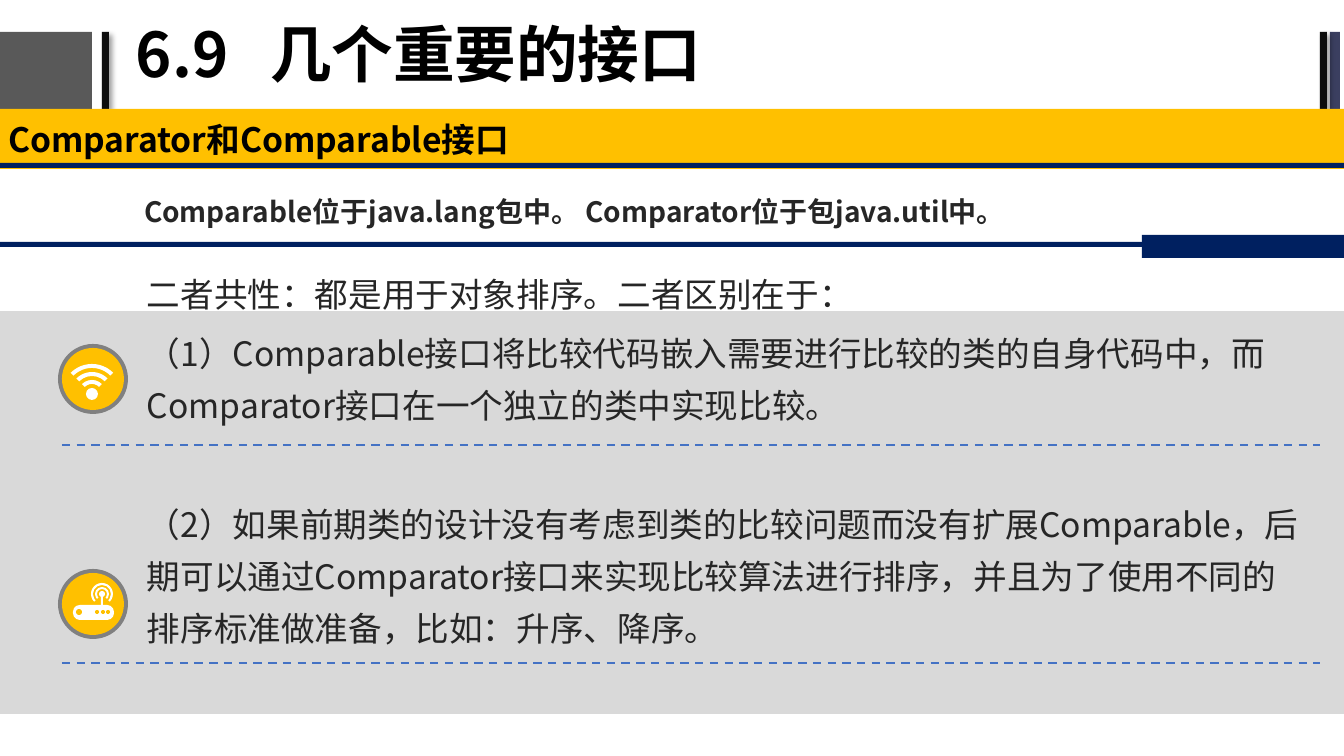
from dataclasses import dataclass

from lxml.etree import SubElement
from pptx import Presentation
from pptx.dml.color import RGBColor
from pptx.enum.dml import MSO_LINE
from pptx.enum.shapes import MSO_CONNECTOR, MSO_SHAPE
from pptx.enum.text import MSO_ANCHOR, PP_ALIGN
from pptx.oxml.ns import qn
from pptx.util import Pt

EMU_PER_PX = 914400 / 100.8
SLIDE_W, SLIDE_H = 1344, 756


@dataclass(frozen=True)
class Theme:
    font: str = "Noto Sans CJK SC"
    title_pt: int = 44
    body_pt: int = 24
    note_pt: int = 20
    black: str = "000000"
    ink: str = "262626"
    white: str = "FFFFFF"
    amber: str = "FFC000"
    navy: str = "002060"
    panel: str = "D9D9D9"
    ring: str = "808080"
    dash: str = "4472C4"
    block: str = "595959"
    bar: str = "0D0D0D"
    slate: str = "3B3F60"


THEME = Theme()


@dataclass(frozen=True)
class Box:
    x: int
    y: int
    w: int
    h: int
    color: str
    shadow: bool = False


@dataclass(frozen=True)
class Band:
    """An arc symmetric about the upward direction."""
    cx: int
    cy: int
    radius: int
    thickness: int
    half_angle: int


@dataclass(frozen=True)
class TextStyle:
    size: int
    color: str
    bold: bool = False
    inset_x: int = 10
    inset_y: int = 5
    anchor: MSO_ANCHOR = MSO_ANCHOR.TOP
    spacing: object = 1.0


HEADER_BARS = [
    Box(0, 32, 92, 77, THEME.block),
    Box(102, 32, 7, 77, THEME.bar, shadow=True),
    Box(1330, 32, 10, 77, THEME.slate),
    Box(1320, 32, 7, 77, THEME.bar, shadow=True),
]
BANNER = Box(0, 109, SLIDE_W, 60, THEME.amber)
BANNER_RULE = Box(0, 163, SLIDE_W, 5, THEME.navy)
PANEL = Box(0, 311, SLIDE_W, 403, THEME.panel)
NOTE_RULES = [Box(0, 242, SLIDE_W, 5, THEME.navy),
              Box(1142, 235, 202, 23, THEME.navy)]
WIFI_BANDS = [Band(92, 394, radius, 4, 45) for radius in (14, 22, 30)]
SIGNAL_BANDS = [Band(102, 594, radius, 2, 135) for radius in (7, 11)]
ROUTER_CASING = Box(73, 605, 41, 15, THEME.white)
ROUTER_STEM = Box(101, 594, 2, 11, THEME.white)
ROUTER_LIGHTS = [(79, 3), (97, 2), (103, 2), (108, 2)]
TITLE = "6.9\t几个重要的接口"
BANNER_TEXT = "Comparator和Comparable接口"
NOTE = "Comparable位于java.lang包中。 Comparator位于包java.util中。"
BODY = [
    "二者共性：都是用于对象排序。二者区别在于：",
    "（1）Comparable接口将比较代码嵌入需要进行比较的类的自身代码中，而Comparator接口在一个独立的类中实现比较。",
    "（2）如果前期类的设计没有考虑到类的比较问题而没有扩展Comparable，后期可以通过Comparator接口来实现比较算法进行排序，并且为了使用不同的排序标准做准备，比如：升序、降序。",
]
LATER_GAPS = [5, 48]


def px(value: float) -> int:
    return round(value * EMU_PER_PX)


def cast_shadow(shape) -> None:
    effects = shape._element.spPr.find(qn("a:effectLst"))
    outer = SubElement(effects, qn("a:outerShdw"), blurRad="50800",
                       dist="38100", dir="2700000", algn="tl", rotWithShape="0")
    srgb = SubElement(outer, qn("a:srgbClr"), val=THEME.black)
    SubElement(srgb, qn("a:alpha"), val="40000")


def add_box(shapes, box: Box, preset=MSO_SHAPE.RECTANGLE):
    shape = shapes.add_shape(preset, px(box.x), px(box.y), px(box.w), px(box.h))
    shape.shadow.inherit = False
    shape.fill.solid()
    shape.fill.fore_color.rgb = RGBColor.from_string(box.color)
    shape.line.fill.background()
    if box.shadow:
        cast_shadow(shape)
    return shape


def add_disc(shapes, cx: int, cy: int, radius: int, color: str,
             preset=MSO_SHAPE.OVAL):
    box = Box(cx - radius, cy - radius, 2 * radius, 2 * radius, color)
    return add_box(shapes, box, preset)


def add_band(shapes, band: Band) -> None:
    shape = add_disc(shapes, band.cx, band.cy, band.radius, THEME.white,
                     MSO_SHAPE.BLOCK_ARC)
    units_per_degree = 0.6
    shape.adjustments[0] = (270 - band.half_angle) % 360 * units_per_degree
    shape.adjustments[1] = (270 + band.half_angle) % 360 * units_per_degree
    shape.adjustments[2] = band.thickness / (2 * band.radius)


def add_badge(shapes, cx: int, cy: int) -> None:
    add_disc(shapes, cx, cy, 35, THEME.ring)
    add_disc(shapes, cx, cy, 31, THEME.amber)


def add_wifi(shapes) -> None:
    for band in WIFI_BANDS:
        add_band(shapes, band)
    add_disc(shapes, 92, 394, 6, THEME.white)


def add_router(shapes) -> None:
    for band in SIGNAL_BANDS:
        add_band(shapes, band)
    add_disc(shapes, 102, 594, 3, THEME.white)
    add_box(shapes, ROUTER_STEM)
    casing = add_box(shapes, ROUTER_CASING, MSO_SHAPE.ROUNDED_RECTANGLE)
    casing.adjustments[0] = 0.45
    for x, radius in ROUTER_LIGHTS:
        add_disc(shapes, x, 612, radius, THEME.amber)


def write(shape, text: str, style: TextStyle) -> list:
    frame = shape.text_frame
    frame.word_wrap = True
    frame.vertical_anchor = style.anchor
    frame.margin_left = frame.margin_right = px(style.inset_x)
    frame.margin_top = frame.margin_bottom = px(style.inset_y)
    frame.text = text
    for paragraph in frame.paragraphs:
        paragraph.alignment = PP_ALIGN.LEFT
        paragraph.line_spacing = style.spacing
        for run in paragraph.runs:
            run.font.size, run.font.bold = Pt(style.size), style.bold
            run.font.name = THEME.font
            run.font.color.rgb = RGBColor.from_string(style.color)
            SubElement(run.font._element, qn("a:ea"), typeface=THEME.font)
    return list(frame.paragraphs)


def add_text(shapes, x: int, y: int, w: int, h: int, text: str, style: TextStyle) -> list:
    return write(shapes.add_textbox(px(x), px(y), px(w), px(h)), text, style)


def add_dashes(shapes, y: int) -> None:
    line = shapes.add_connector(MSO_CONNECTOR.STRAIGHT, px(62), px(y), px(1320), px(y))
    line.line.color.rgb = RGBColor.from_string(THEME.dash)
    line.line.width, line.line.dash_style = Pt(1.5), MSO_LINE.DASH
    SubElement(line._element.spPr, qn("a:effectLst"))


def main() -> None:
    deck = Presentation()
    deck.slide_width, deck.slide_height = px(SLIDE_W), px(SLIDE_H)
    shapes = deck.slides.add_slide(deck.slide_layouts[6]).shapes

    for bar in HEADER_BARS:
        add_box(shapes, bar)
    title = add_text(shapes, 126, 2, 854, 111, TITLE, TextStyle(
        THEME.title_pt, THEME.black, True, anchor=MSO_ANCHOR.MIDDLE, spacing=0.9))
    tabs = SubElement(title[0]._p.get_or_add_pPr(), qn("a:tabLst"))
    SubElement(tabs, qn("a:tab"), pos=str(px(134)), algn="l")
    write(add_box(shapes, BANNER), BANNER_TEXT, TextStyle(
        THEME.body_pt, THEME.black, True, 8, 7, MSO_ANCHOR.MIDDLE))
    for box in (BANNER_RULE, PANEL):
        add_box(shapes, box)
    body = add_text(shapes, 134, 255, 1180, 479, "\n".join(BODY), TextStyle(
        THEME.body_pt, THEME.ink, inset_x=13, inset_y=7, spacing=Pt(37.14)))
    for paragraph, gap in zip(body[1:], LATER_GAPS):
        paragraph.space_before = Pt(gap)

    for center_y, add_icon in ((379, add_wifi), (604, add_router)):
        add_badge(shapes, 93, center_y)
        add_icon(shapes)
    for y in (445, 663):
        add_dashes(shapes, y)

    add_text(shapes, 134, 181, 949, 52, NOTE, TextStyle(
        THEME.note_pt, THEME.ink, True, spacing=Pt(30)))
    for box in NOTE_RULES:
        add_box(shapes, box)
    deck.save("out.pptx")


if __name__ == "__main__":
    main()
